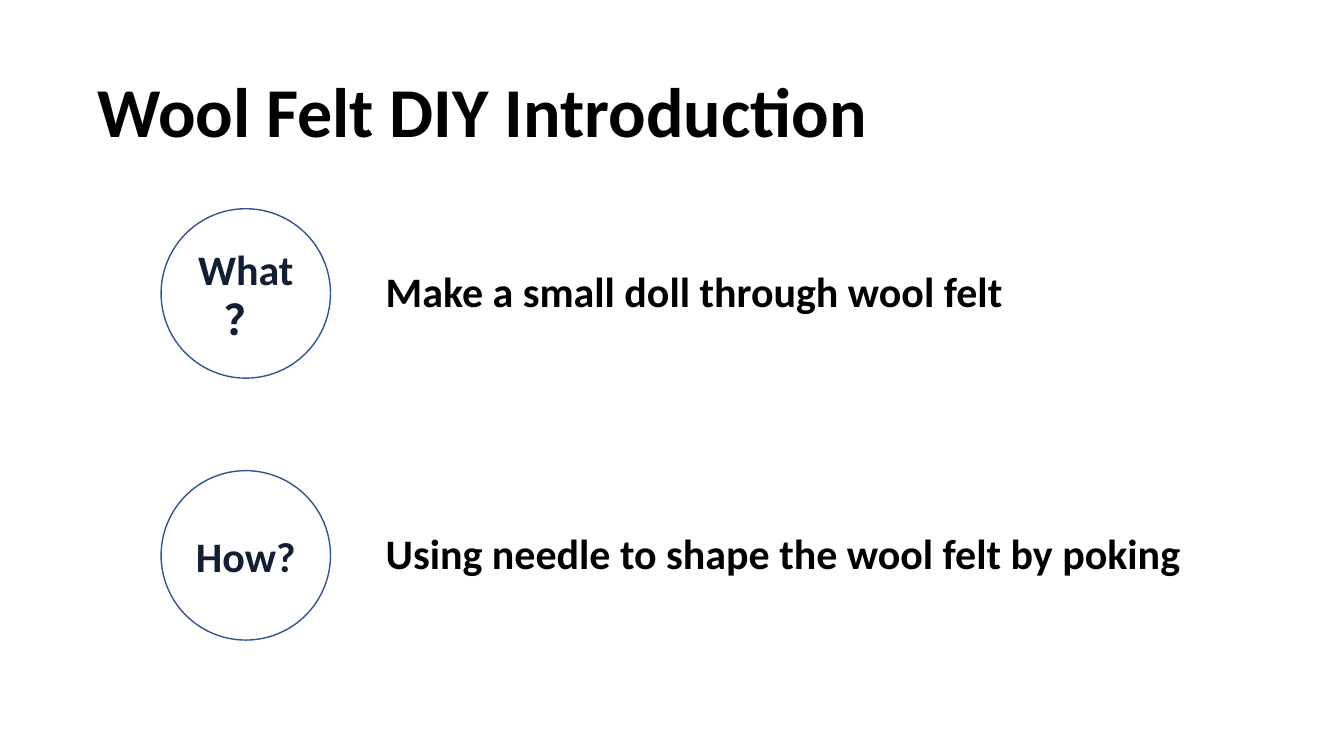
from pptx import Presentation
from pptx.dml.color import RGBColor
from pptx.enum.shapes import MSO_SHAPE
from pptx.enum.text import MSO_ANCHOR, MSO_AUTO_SIZE, PP_ALIGN
from pptx.util import Cm, Pt


def color(code):
    return RGBColor.from_string(code)


def write(shape, text, size, code, anchor):
    frame = shape.text_frame
    frame.vertical_anchor = anchor
    para = frame.paragraphs[0]
    para.text = text
    para.font.name = "Calibri"
    para.font.size = Pt(size)
    para.font.bold = True
    para.font.color.rgb = color(code)
    return frame, para


deck = Presentation()
deck.slide_width = Cm(33.87)
deck.slide_height = Cm(19.05)
slide = deck.slides.add_slide(deck.slide_layouts[6])

lines = [
    ("Wool Felt DIY Introduction", 50, 2.21, 1.78, 20.12, 2.18),
    ("Make a small doll through wool felt", 30, 9.47, 6.68, 16.2, 1.42),
    ("Using needle to shape the wool felt by poking", 30, 9.47, 13.28, 20.78, 1.42),
]
for text, size, left, top, width, height in lines:
    box = slide.shapes.add_textbox(Cm(left), Cm(top), Cm(width), Cm(height))
    frame, para = write(box, text, size, "000000", MSO_ANCHOR.BOTTOM)
    frame.word_wrap = False
    frame.auto_size = MSO_AUTO_SIZE.SHAPE_TO_FIT_TEXT
    para.line_spacing = 0.9

for row, text in enumerate(["What？", "How?"]):
    disc = slide.shapes.add_shape(
        MSO_SHAPE.OVAL, Cm(4.06), Cm(5.26 + 6.6 * row), Cm(4.27), Cm(4.27))
    disc.shadow.inherit = False
    disc.fill.solid()
    disc.fill.fore_color.rgb = color("FFFFFF")
    disc.line.color.rgb = color("325491")
    disc.line.width = Pt(1)
    frame, para = write(disc, text, 30, "111E33", MSO_ANCHOR.MIDDLE)
    frame.word_wrap = True
    para.alignment = PP_ALIGN.CENTER

deck.save("out.pptx")
